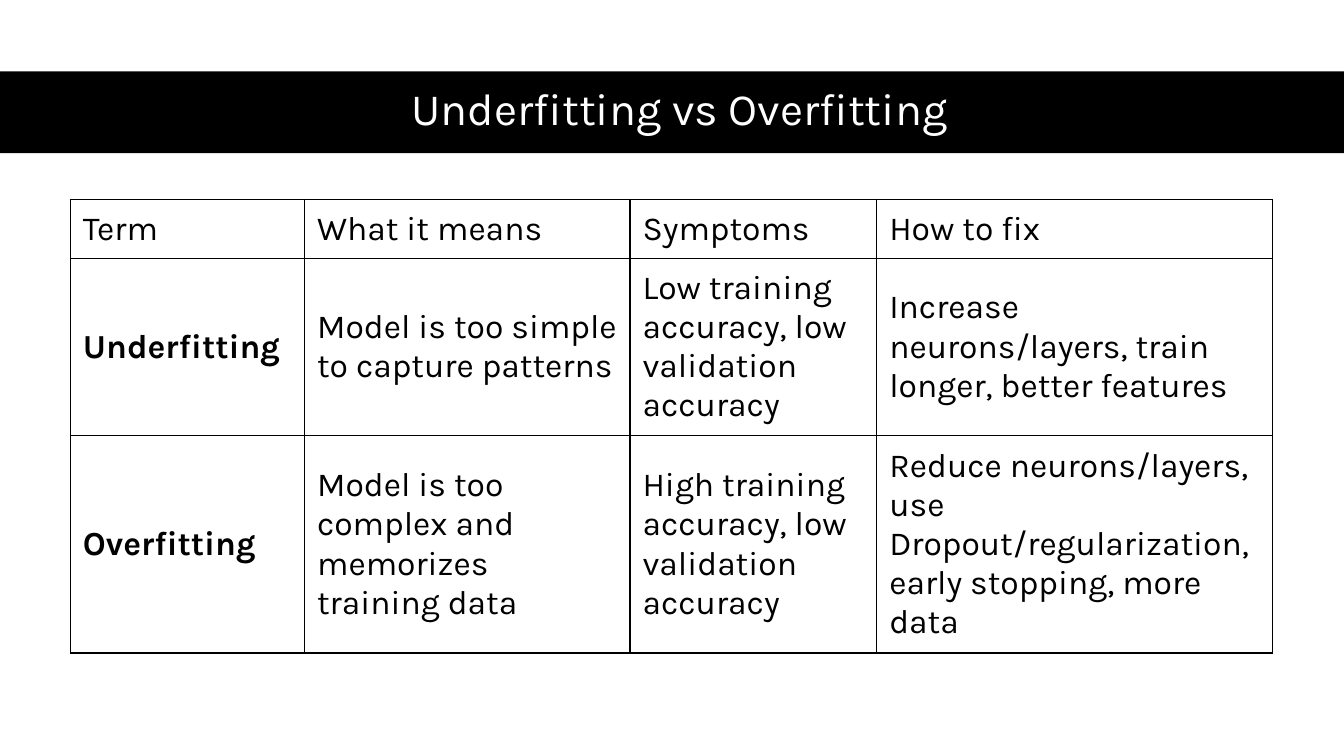
import pptx
import pptx.util
import pptx.dml.color
import pptx.enum.shapes
import pptx.enum.text
import pptx.oxml
import pptx.oxml.ns

PX = 9525  # 96 px to the inch
BLACK = pptx.dml.color.RGBColor(0, 0, 0)
WHITE = pptx.dml.color.RGBColor(255, 255, 255)
FONT = "Karla"
MIDDLE = pptx.enum.text.MSO_ANCHOR.MIDDLE
CENTER = pptx.enum.text.PP_ALIGN.CENTER

TITLE = "Underfitting vs Overfitting"
COLS = [223, 310, 235, 377]
ROWS = [56, 169, 207]
TERMS = [
    ["Term", "What it means", "Symptoms", "How to fix"],
    ["Underfitting", "Model is too simple to capture patterns",
     "Low training accuracy, low validation accuracy",
     "Increase neurons/layers, train longer, better features"],
    ["Overfitting", "Model is too complex and memorizes training data",
     "High training accuracy, low validation accuracy",
     "Reduce neurons/layers, use Dropout/regularization, "
     "early stopping, more data"],
]


def scale(*sizes):
    return [size * PX for size in sizes]


def write(frame, text, size=24, color=BLACK, bold=False, align=None, line=None):
    frame.word_wrap = True
    para = frame.paragraphs[0]
    para.alignment = align
    para.line_spacing = line
    run = para.add_run()
    run.text = text
    font = run.font
    font.name, font.size, font.bold = FONT, pptx.util.Pt(size), bold
    font.color.rgb = color


def border(cell, width=1):
    """Rule all four sides; the lines come first in the cell properties."""
    props = cell._tc.get_or_add_tcPr()
    for place, side in enumerate("LRTB"):
        line = pptx.oxml.parse_xml(
            f'<a:ln{side} {pptx.oxml.ns.nsdecls("a")} w="{pptx.util.Pt(width)}">'
            f'<a:solidFill><a:srgbClr val="{BLACK}"/></a:solidFill></a:ln{side}>')
        props.insert(place, line)


def banner(slide, left, top, width, height):
    band = slide.shapes.add_shape(
        pptx.enum.shapes.MSO_SHAPE.RECTANGLE, *scale(left, top, width, height))
    band.shadow.inherit = False
    band.fill.solid()
    band.fill.fore_color.rgb = BLACK
    band.line.fill.background()
    box = slide.shapes.add_textbox(
        *scale(left + 59, top - 1, width - 103, height))
    box.text_frame.vertical_anchor = MIDDLE
    write(box.text_frame, TITLE, size=32, color=WHITE, align=CENTER, line=0.9)


def grid(slide, left, top):
    table = slide.shapes.add_table(
        len(ROWS), len(COLS), *scale(left, top, sum(COLS), sum(ROWS))).table
    table.first_row = table.horz_banding = False
    for col, width in zip(table.columns, scale(*COLS)):
        col.width = width
    for row, height in zip(table.rows, scale(*ROWS)):
        row.height = height
    for r, texts in enumerate(TERMS):
        for c, text in enumerate(texts):
            cell = table.cell(r, c)
            cell.fill.background()
            border(cell)
            cell.vertical_anchor = MIDDLE
            cell.margin_left, cell.margin_right = scale(12, 12)
            cell.margin_top, cell.margin_bottom = scale(7, 7)
            write(cell.text_frame, text, bold=r > 0 and c == 0)


def main():
    deck = pptx.Presentation()
    deck.slide_width, deck.slide_height = scale(1280, 720)
    slide = deck.slides.add_slide(deck.slide_layouts[6])
    banner(slide, 0, 68, 1280, 78)
    grid(slide, 67, 190)
    deck.save("out.pptx")


if __name__ == "__main__":
    main()
